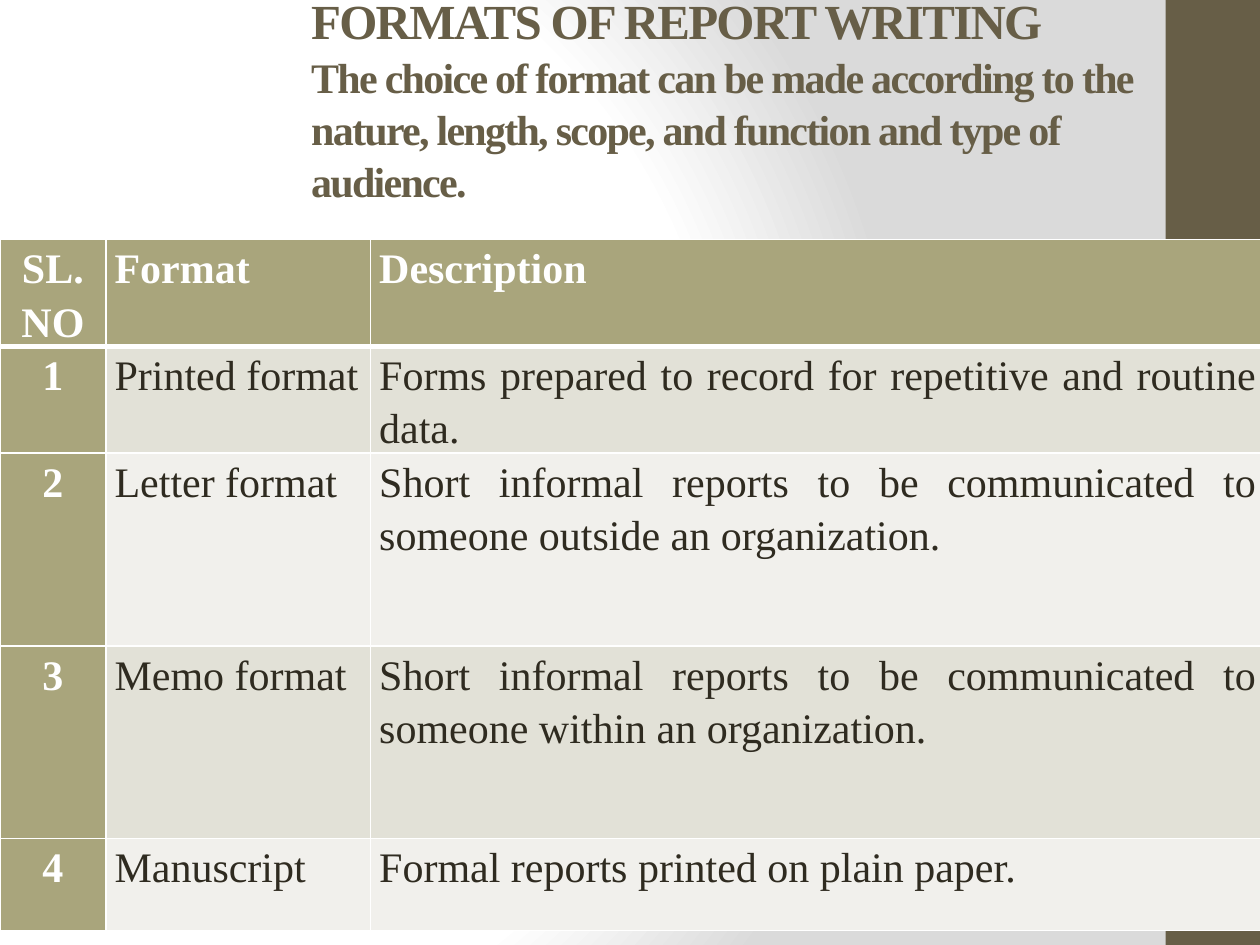
"""Build the slide on formats of report writing."""
import lxml.etree
import pptx
import pptx.dml.color
import pptx.enum.shapes
import pptx.enum.text
import pptx.oxml
import pptx.oxml.ns
import pptx.util

RGBColor = pptx.dml.color.RGBColor
ALIGN = pptx.enum.text.PP_ALIGN
BROWN = RGBColor(0x67, 0x5E, 0x47)
OLIVE = RGBColor(0xA9, 0xA5, 0x7C)
DARK = RGBColor(0x2F, 0x2B, 0x20)
WHITE = RGBColor(0xFF, 0xFF, 0xFF)
GREY = RGBColor(0xDA, 0xDA, 0xDA)
BANDS = (RGBColor(0xE2, 0xE1, 0xD7), RGBColor(0xF1, 0xF0, 0xEC))
FONT = "Times New Roman"
GRID_COLUMNS, GRID_ROWS = 100, 75
UNIT = pptx.util.Inches(0.1)
COLUMN_WIDTHS = (8.4, 21, 71)
ROW_HEIGHTS = (8.3, 8.1, 15.3, 15.3, 7.3)
HEADINGS = ("SL.NO", "Format", "Description")
FORMATS = (
    ("Printed format", "Forms prepared to record for repetitive and routine data."),
    ("Letter format", "Short informal reports to be communicated to someone outside an organization."),
    ("Memo format", "Short informal reports to be communicated to someone within an organization."),
    ("Manuscript", "Formal reports printed on plain paper."),
)


def units(count):
    """Return the length of a number of grid units."""
    return int(count * UNIT)


def write_text(paragraph, text, size=24, color=DARK, bold=False, align=ALIGN.LEFT,
               line_spacing=1.0, tracking=0, indent=0):
    """Write formatted text into a paragraph."""
    paragraph.alignment = align
    paragraph.line_spacing = line_spacing
    if indent:
        properties = paragraph._p.get_or_add_pPr()
        properties.set("marL", str(units(indent)))
        properties.set("indent", "0")
    run = paragraph.add_run()
    run.text = text
    run.font.name = FONT
    run.font.size = pptx.util.Pt(size)
    run.font.bold = bold
    run.font.color.rgb = color
    if tracking:
        run.font._element.set("spc", str(tracking * 100))


def paint_background(slide):
    """Fill the background with a circular gradient from white to grey."""
    fill = slide.background.fill
    fill.gradient()
    gradient = slide._element.cSld.bg.bgPr.find(pptx.oxml.ns.qn("a:gradFill"))
    stops = "".join(
        f'<a:gs pos="{share * 1000}"><a:srgbClr val="{color}"/></a:gs>'
        for share, color in ((0, WHITE), (75, WHITE), (100, GREY)))
    gradient.getparent().replace(gradient, pptx.oxml.parse_xml(
        f'<a:gradFill {pptx.oxml.ns.nsdecls("a")} rotWithShape="1"><a:gsLst>{stops}</a:gsLst>'
        '<a:path path="circle"><a:fillToRect l="20000" t="50000" r="100000" b="50000"/>'
        '</a:path></a:gradFill>'))


def add_side_band(slide):
    """Add the brown band along the right edge."""
    band = slide.shapes.add_shape(
        pptx.enum.shapes.MSO_SHAPE.RECTANGLE,
        units(92.5), 0, units(GRID_COLUMNS - 92.5), units(GRID_ROWS))
    band.shadow.inherit = False
    band.fill.solid()
    band.fill.fore_color.rgb = BROWN
    band.line.fill.background()


def fill_title(slide):
    """Place the heading and its introduction in the title placeholder."""
    title = slide.shapes.title
    title.left, title.top, title.width, title.height = map(units, (1.2, 3, 91.3, 12.5))
    frame = title.text_frame
    frame.word_wrap = True
    frame.auto_size = pptx.enum.text.MSO_AUTO_SIZE.NONE
    frame.vertical_anchor = pptx.enum.text.MSO_ANCHOR.MIDDLE
    frame.margin_top, frame.margin_bottom = units(0.5), units(3.6)
    style = {"color": BROWN, "bold": True, "tracking": -1, "line_spacing": 1.04}
    write_text(frame.paragraphs[0], "FORMATS OF REPORT WRITING", size=28, indent=22.5, **style)
    write_text(frame.add_paragraph(),
               "The choice of format can be made according to the nature, length, "
               "scope, and function and type of audience.", **style)


def set_borders(cell, top, bottom):
    """Draw white borders around a cell, with top and bottom widths in points."""
    properties = cell._tc.get_or_add_tcPr()
    widths = {"lnL": 1, "lnR": 1, "lnT": top, "lnB": bottom}
    for position, (side, width) in enumerate(widths.items()):
        properties.insert(position, pptx.oxml.parse_xml(
            f'<a:{side} {pptx.oxml.ns.nsdecls("a")} w="{pptx.util.Pt(width)}">'
            f'<a:solidFill><a:srgbClr val="{WHITE}"/></a:solidFill></a:{side}>'))


def fill_cell(cell, text, row, column):
    """Write and format a cell according to its row and column."""
    heading = row == 0 or column == 0
    cell.fill.solid()
    cell.fill.fore_color.rgb = OLIVE if heading else BANDS[(row - 1) % 2]
    cell.margin_left = cell.margin_right = units(0.7)
    cell.margin_top = cell.margin_bottom = 0
    set_borders(cell, top=3 if row == 1 else 1, bottom=3 if row == 0 else 1)
    write_text(cell.text_frame.paragraphs[0], text, color=WHITE if heading else DARK,
               bold=heading, align=ALIGN.CENTER if column == 0 else ALIGN.JUSTIFY,
               line_spacing=1.15)


def add_format_table(slide):
    """Add the numbered table of report formats."""
    rows = [HEADINGS] + [(str(number), *entry) for number, entry in enumerate(FORMATS, 1)]
    table = slide.shapes.add_table(
        len(rows), len(HEADINGS), 0, units(19),
        units(sum(COLUMN_WIDTHS)), units(sum(ROW_HEIGHTS))).table
    for column, width in zip(table.columns, COLUMN_WIDTHS):
        column.width = units(width)
    for row, height in zip(table.rows, ROW_HEIGHTS):
        row.height = units(height)
    for row, texts in enumerate(rows):
        for column, text in enumerate(texts):
            fill_cell(table.cell(row, column), text, row, column)


def main():
    """Build and save the presentation."""
    presentation = pptx.Presentation()
    presentation.slide_width = units(GRID_COLUMNS)
    presentation.slide_height = units(GRID_ROWS)
    slide = presentation.slides.add_slide(presentation.slide_layouts.get_by_name("Title Only"))
    paint_background(slide)
    add_side_band(slide)
    fill_title(slide)
    add_format_table(slide)
    presentation.save("out.pptx")


if __name__ == "__main__":
    main()
